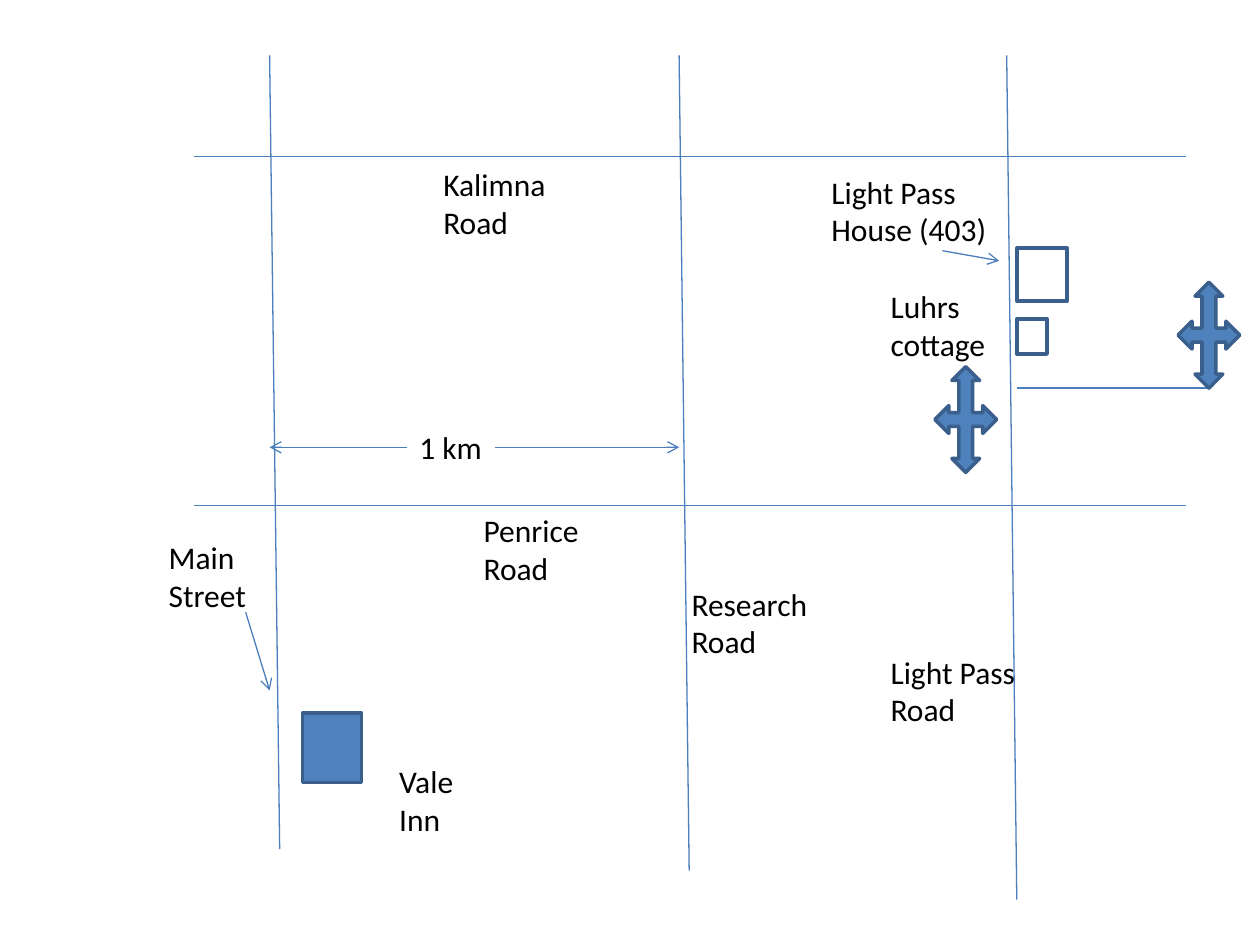
from pptx import Presentation
from pptx.dml.color import RGBColor
from pptx.enum.shapes import MSO_CONNECTOR as Link, MSO_SHAPE as Kind
from pptx.enum.text import MSO_AUTO_SIZE as Fit
from pptx.oxml.ns import qn
from pptx.util import Inches, Pt
from lxml.etree import SubElement

BLUE, EDGE, ROAD, INK = "4F81BD", "3A5F8C", "4B7EBC", "000000"


def color(code):
    return RGBColor.from_string(code)


def place(box, *spot):
    left, top = box
    return Inches(left + spot[0]), Inches(top + spot[1])


def line(slide, box, start, end, arrow=False):
    link = slide.shapes.add_connector(
        Link.STRAIGHT, *place(box, *start), *place(box, *end))
    link.line.color.rgb = color(ROAD)
    link.line.width = Pt(0.75)
    if arrow:
        SubElement(link.line._get_or_add_ln(), qn("a:tailEnd"), type="arrow")
    SubElement(link._element.spPr, qn("a:effectLst"))


def mark(slide, box, kind, spot, size, fill=None):
    shape = slide.shapes.add_shape(
        kind, *place(box, *spot), *map(Inches, size))
    shape.shadow.inherit = False
    if fill:
        shape.fill.solid()
        shape.fill.fore_color.rgb = color(fill)
    else:
        shape.fill.background()
    shape.line.color.rgb = color(EDGE)
    shape.line.width = Pt(2)


def label(slide, box, rows, spot, width, height=0.71, wrap=False):
    frame = slide.shapes.add_textbox(
        *place(box, *spot), Inches(width), Inches(height)).text_frame
    frame.word_wrap = wrap
    frame.auto_size = Fit.SHAPE_TO_FIT_TEXT
    for i, row in enumerate(rows):
        para = frame.add_paragraph() if i else frame.paragraphs[0]
        run = para.add_run()
        run.text = row
        run.font.name = "Calibri"
        run.font.size = Pt(18)
        run.font.color.rgb = color(INK)


def add_roads(slide, box):
    for x, length in ((0.6, 6.3), (3.85, 6.47), (6.45, 6.7)):
        line(slide, box, (x, 0), (x + 0.08, length))
    for y in (0.8, 3.57):
        line(slide, box, (0, y), (7.87, y))
    line(slide, box, (6.53, 2.64), (8.06, 2.64))


def add_names(slide, box):
    for name, spot, width in (
        ("Kalimna", (0, 0), 1.02),
        ("Penrice", (0.32, 2.75), 0.96),
        ("Research", (1.97, 3.33), 1.13),
        ("Light Pass", (3.55, 3.87), 1.2),
    ):
        label(slide, box, (name, "Road"), spot, width)


def add_scale(slide, box):
    label(slide, box, ("1 km",), (1.09, 0), 0.7, 0.4)
    for start, end in ((1.09, 0), (1.79, 3.25)):
        line(slide, box, (start, 0.2), (end, 0.2), True)


def add_town(slide, box):
    label(slide, box, ("Main", "Street"), (0, 0), 0.82)
    line(slide, box, (0.71, 0.64), (0.9, 1.26), True)
    mark(slide, box, Kind.RECTANGLE, (1.16, 1.44), (0.47, 0.55), BLUE)
    label(slide, box, ("Vale", "Inn"), (1.83, 1.78), 0.66)


def add_farm(slide, box):
    label(slide, box, ("Light Pass", "House (403)"), (0, 0), 1.5, 1.01, True)
    line(slide, box, (0.98, 0.67), (1.43, 0.75), True)
    mark(slide, box, Kind.RECTANGLE, (1.57, 0.65), (0.4, 0.42))
    label(slide, box, ("Luhrs", "cottage"), (0.47, 0.91), 0.97)
    mark(slide, box, Kind.RECTANGLE, (1.57, 1.21), (0.24, 0.28))
    for spot in ((2.85, 0.92), (0.92, 1.59)):
        mark(slide, box, Kind.QUAD_ARROW, spot, (0.49, 0.84), BLUE)


def main():
    deck = Presentation()
    deck.slide_width, deck.slide_height = Inches(10), Inches(7.5)
    slide = deck.slides.add_slide(deck.slide_layouts[6])
    add_roads(slide, (1.54, 0.44))
    add_names(slide, (3.42, 1.26))
    add_scale(slide, (2.14, 3.35))
    add_town(slide, (1.24, 4.22))
    add_farm(slide, (6.5, 1.32))
    deck.save("out.pptx")


if __name__ == "__main__":
    main()
